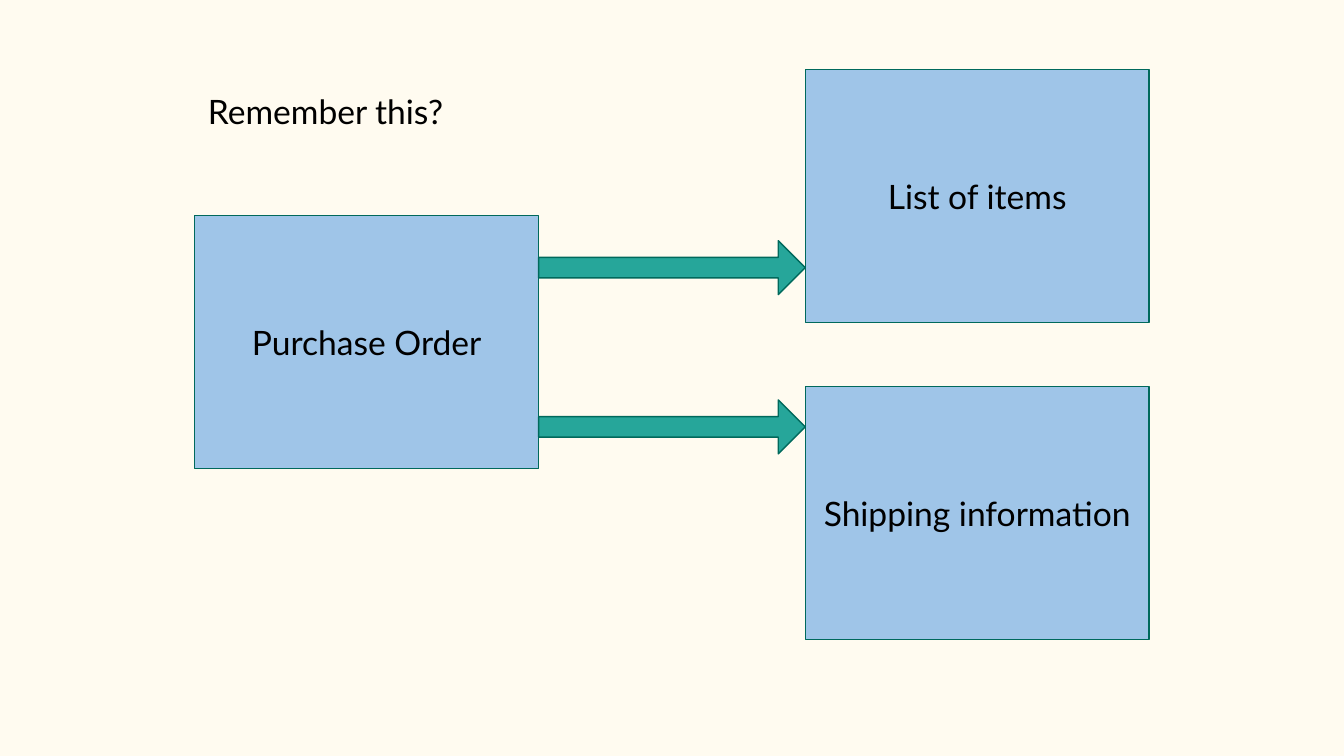
import dataclasses
import pptx
import pptx.dml.color
import pptx.enum.shapes
import pptx.enum.text
import pptx.util

Cm = pptx.util.Cm
Pt = pptx.util.Pt
RGB = pptx.dml.color.RGBColor.from_string
Kind = pptx.enum.shapes.MSO_SHAPE
Align = pptx.enum.text.PP_ALIGN
Anchor = pptx.enum.text.MSO_ANCHOR


@dataclasses.dataclass(frozen=True)
class Theme:
    back: str = "FFFBF0"
    box: str = "9FC5E8"
    arrow: str = "26A69A"
    edge: str = "00695C"
    ink: str = "000000"
    font: str = "Lato"
    size: float = 18
    line: float = 0.75


theme = Theme()


def draw(kind, left, top, width, height, fill):
    shape = slide.shapes.add_shape(kind, Cm(left), Cm(top), Cm(width), Cm(height))
    shape.shadow.inherit = False
    shape.fill.solid()
    shape.fill.fore_color.rgb = RGB(fill)
    shape.line.color.rgb = RGB(theme.edge)
    shape.line.width = Pt(theme.line)
    return shape


def write(shape, text, align, anchor):
    frame = shape.text_frame
    frame.text = text
    frame.word_wrap = True
    frame.vertical_anchor = anchor
    frame.margin_left = frame.margin_right = Cm(0.25)
    frame.margin_top = frame.margin_bottom = Cm(0.25)
    para = frame.paragraphs[0]
    para.alignment = align
    font = para.runs[0].font
    font.name = theme.font
    font.size = Pt(theme.size)
    font.color.rgb = RGB(theme.ink)


deck = pptx.Presentation()
deck.slide_width = Cm(25.4)
deck.slide_height = Cm(14.29)
slide = deck.slides.add_slide(deck.slide_layouts[6])
slide.background.fill.solid()
slide.background.fill.fore_color.rgb = RGB(theme.back)

wide, high = 6.5, 4.78
near, far = 3.68, 15.22
start = near + wide

for text, left, top in (
    ("Purchase Order", near, 4.08),
    ("List of items", far, 1.32),
    ("Shipping information", far, 7.31),
):
    box = draw(Kind.RECTANGLE, left, top, wide, high, theme.box)
    write(box, text, Align.CENTER, Anchor.MIDDLE)

for top in (4.55, 7.56):
    arrow = draw(Kind.RIGHT_ARROW, start, top, far - start, 1.02, theme.arrow)
    arrow.adjustments[0] = 0.38
    arrow.adjustments[1] = 0.5

title = slide.shapes.add_textbox(Cm(near), Cm(1.47), Cm(6.78), Cm(1.27))
write(title, "Remember this?", Align.LEFT, Anchor.TOP)
title.text_frame.auto_size = pptx.enum.text.MSO_AUTO_SIZE.SHAPE_TO_FIT_TEXT

deck.save("out.pptx")
